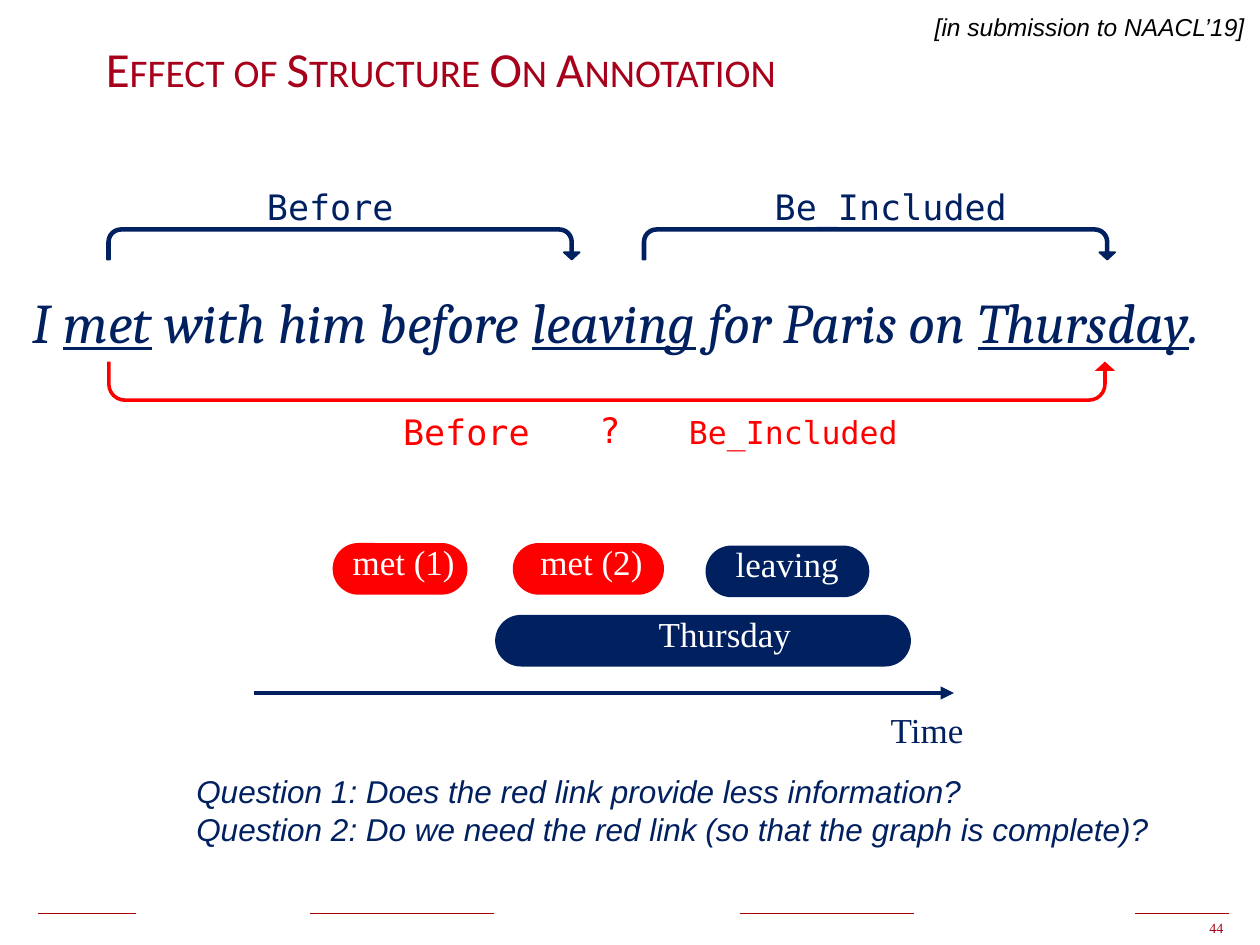
from lxml import etree
from pptx import Presentation
from pptx import util as u
from pptx.dml.color import RGBColor
from pptx.enum import shapes, text
from pptx.oxml.ns import qn

NAVY, RED, WHITE, BLACK = "002060", "FF0000", "FFFFFF", "000000"
TITLE_RED, RULE_RED = "A7001B", "A80000"
MONO, SERIF, SANS = "DejaVu Sans Mono", "Times New Roman", "Arial"


def px(length):
    """Lengths are px at 100 to the inch."""
    return u.Emu(length * 9144)


def colour(value):
    return RGBColor.from_string(value)


class SlideBuilder:
    def __init__(self, page):
        self.page = page

    def style(self, span, size, face, tint, italic=False, underline=False):
        font = span.font
        font.size, font.name = u.Pt(size), face
        font.color.rgb = colour(tint)
        font.italic, font.underline = italic, underline

    def title(self, words, left, top, width, height):
        box = self.page.shapes.title
        box.left, box.top, box.width, box.height = map(px, (left, top, width, height))
        frame = box.text_frame
        frame.text = words
        frame.vertical_anchor = text.MSO_ANCHOR.MIDDLE
        para = frame.paragraphs[0]
        para.alignment = text.PP_ALIGN.LEFT
        span = para.runs[0]
        self.style(span, 28, "Calibri", TITLE_RED)
        span.font._element.set("cap", "small")

    def textbox(self, left, top, width, height, wrap=False):
        box = self.page.shapes.add_textbox(*map(px, (left, top, width, height)))
        box.text_frame.word_wrap = wrap
        box.text_frame.auto_size = text.MSO_AUTO_SIZE.SHAPE_TO_FIT_TEXT
        return box.text_frame

    def label(self, words, place, size, face, tint, italic=False):
        frame = self.textbox(*place)
        frame.text = words
        for para in frame.paragraphs:
            self.style(para.runs[0], size, face, tint, italic)

    def sentence(self, parts, place):
        """Write (words, underlined) parts on one line."""
        para = self.textbox(*place, wrap=True).paragraphs[0]
        for words, underlined in parts:
            span = para.add_run()
            span.text = words
            self.style(span, 32, "Cambria", NAVY, True, underlined)

    def shape(self, kind, place, tint, adjustments, outlined=False):
        shape = self.page.shapes.add_shape(kind, *map(px, place))
        shape.shadow.inherit = False
        for index, value in enumerate(adjustments):
            shape.adjustments[index] = value
        shape.fill.solid()
        shape.fill.fore_color.rgb = colour(tint)
        if outlined:
            shape.line.color.rgb = colour(tint)
            shape.line.width = u.Pt(1)
        else:
            shape.line.fill.background()
        return shape

    def link(self, place, tint, outlined=True, below=False):
        arrow = self.shape(shapes.MSO_SHAPE.U_TURN_ARROW, place, tint,
                           (0.09, 0.25, 0.23, 0.44, 1), outlined)
        if below:
            arrow._element.spPr.find(qn("a:xfrm")).set("flipV", "1")

    def event(self, words, pill, place, tint):
        self.shape(shapes.MSO_SHAPE.ROUNDED_RECTANGLE, pill, tint, (0.5,))
        self.label(words, place, 20, SERIF, WHITE)

    def line(self, left, right, y, tint, width, arrow=False):
        line = self.page.shapes.add_connector(
            shapes.MSO_CONNECTOR.STRAIGHT, px(left), px(y), px(right), px(y))
        line.line.color.rgb = colour(tint)
        line.line.width = u.Pt(width)
        if arrow:
            etree.SubElement(line.line._get_or_add_ln(), qn("a:tailEnd"), type="triangle")
        etree.SubElement(line._element.spPr, qn("a:effectLst"))


def main():
    deck = Presentation()
    deck.slide_width, deck.slide_height = px(1000), px(750)
    slide = SlideBuilder(deck.slides.add_slide(deck.slide_layouts[5]))

    # Footer rules and page number
    for left, right in ((30, 108), (246, 392), (587, 725), (901, 975)):
        slide.line(left, right, 725, RULE_RED, 1)
    slide.label("44", (950, 725, 33, 23), 8, SERIF, TITLE_RED)

    # Heading
    slide.title("Effect of Structure On Annotation", 74, 25, 850, 58)
    slide.label("[in submission to NAACL’19]", (732, 5, 268, 34), 14, SANS, BLACK, True)

    # Sentence with its known links above
    slide.sentence((("I ", False), ("met", True), (" with him before ", False),
                    ("leaving", True), (" for Paris on ", False),
                    ("Thursday", True), (".", False)), (16, 223, 967, 64))
    for left in (85, 510):
        slide.link((left, 181, 375, 25), NAVY)
    slide.label("Before", (202, 142, 121, 44), 20, MONO, NAVY)
    slide.label("Be_Included", (605, 142, 205, 44), 20, MONO, NAVY)

    # Link in question below
    slide.link((85, 287, 800, 32), RED, outlined=False, below=True)
    slide.label("?", (466, 319, 37, 44), 20, MONO, RED)
    slide.label("Before", (310, 321, 121, 44), 20, MONO, RED)
    slide.label("Be_Included", (537, 323, 186, 40), 18, MONO, RED)

    # Events on the timeline
    slide.event("met (1)", (264, 431, 107, 41), (270, 424, 102, 44), RED)
    slide.event("met (2)", (407, 431, 120, 41), (419, 424, 102, 44), RED)
    slide.event("leaving", (560, 433, 130, 41), (574, 426, 103, 44), NAVY)
    slide.event("Thursday", (393, 488, 330, 41), (513, 481, 126, 44), NAVY)
    slide.line(202, 757, 550, NAVY, 2.5, arrow=True)
    slide.label("Time", (697, 557, 78, 44), 20, SERIF, NAVY)

    # Questions
    slide.label("Question 1: Does the red link provide less information?\n"
                "Question 2: Do we need the red link (so that the graph is complete)?",
                (146, 608, 783, 71), 18, SANS, NAVY, True)

    deck.save("out.pptx")


if __name__ == "__main__":
    main()
